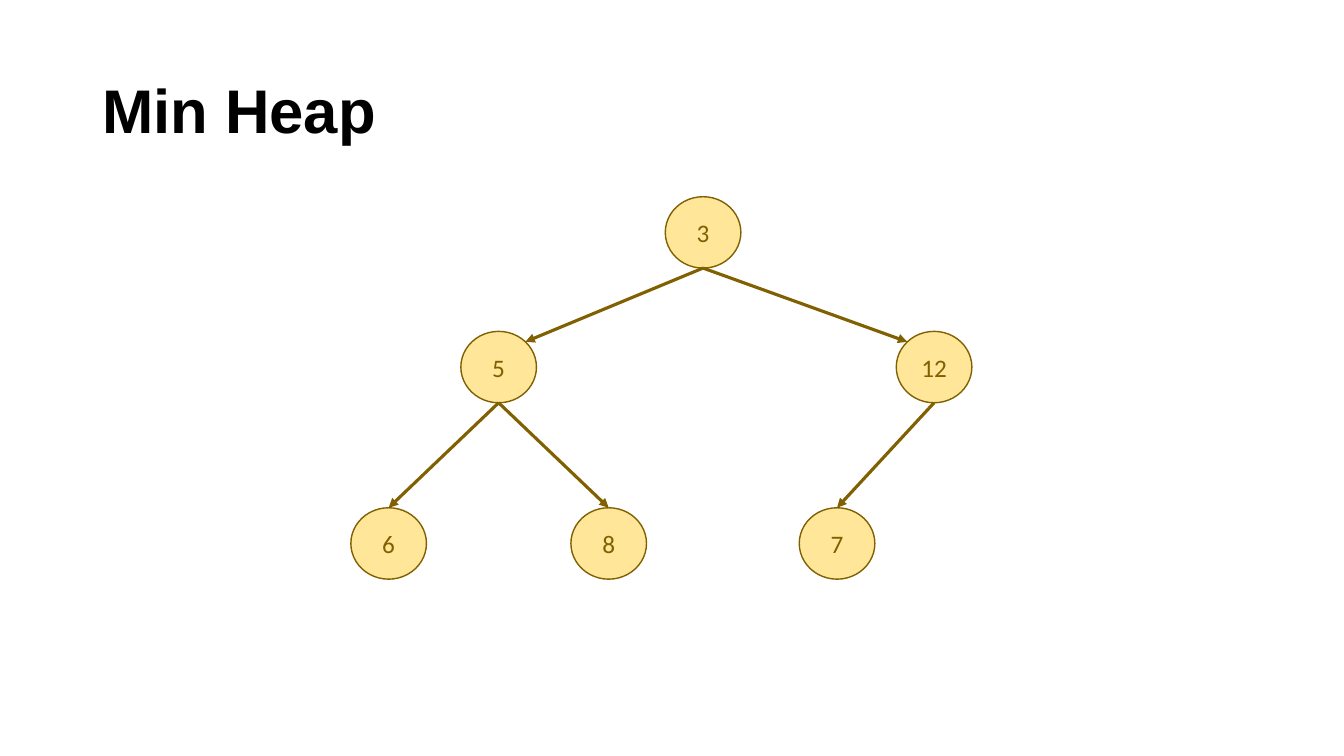
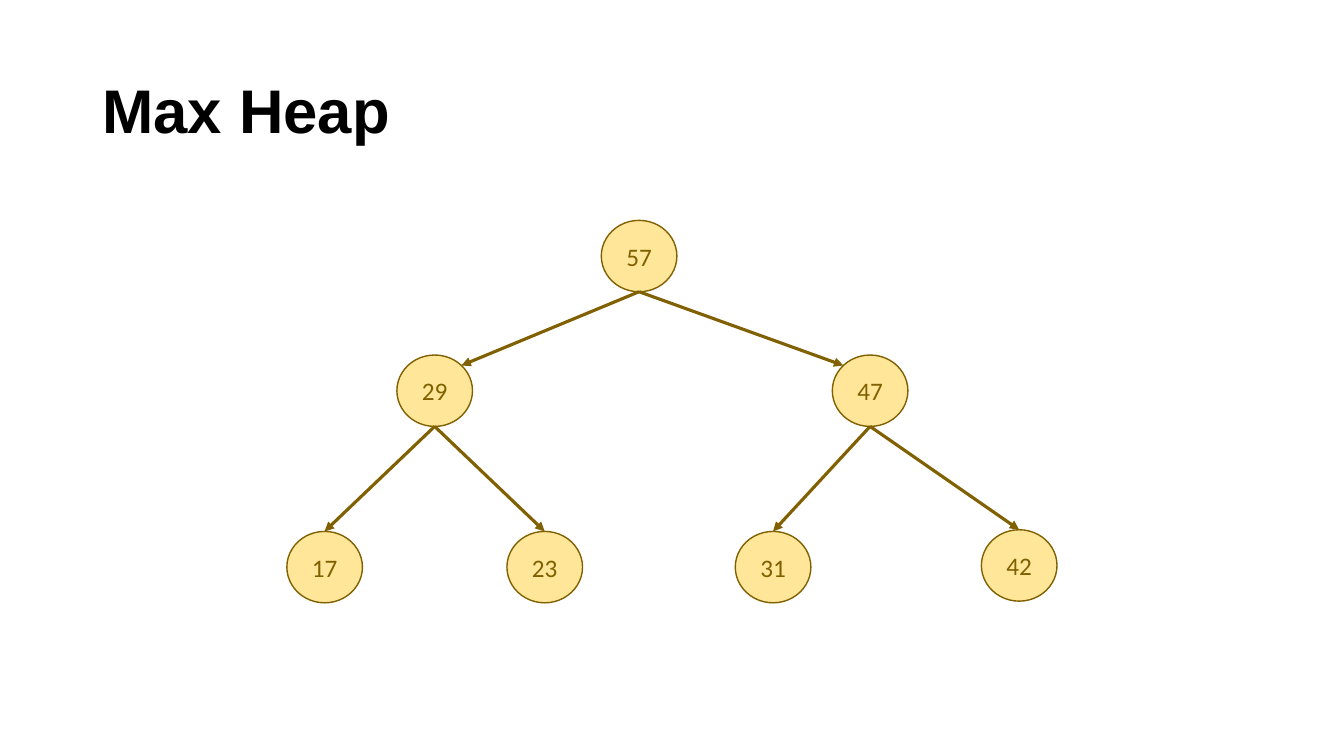
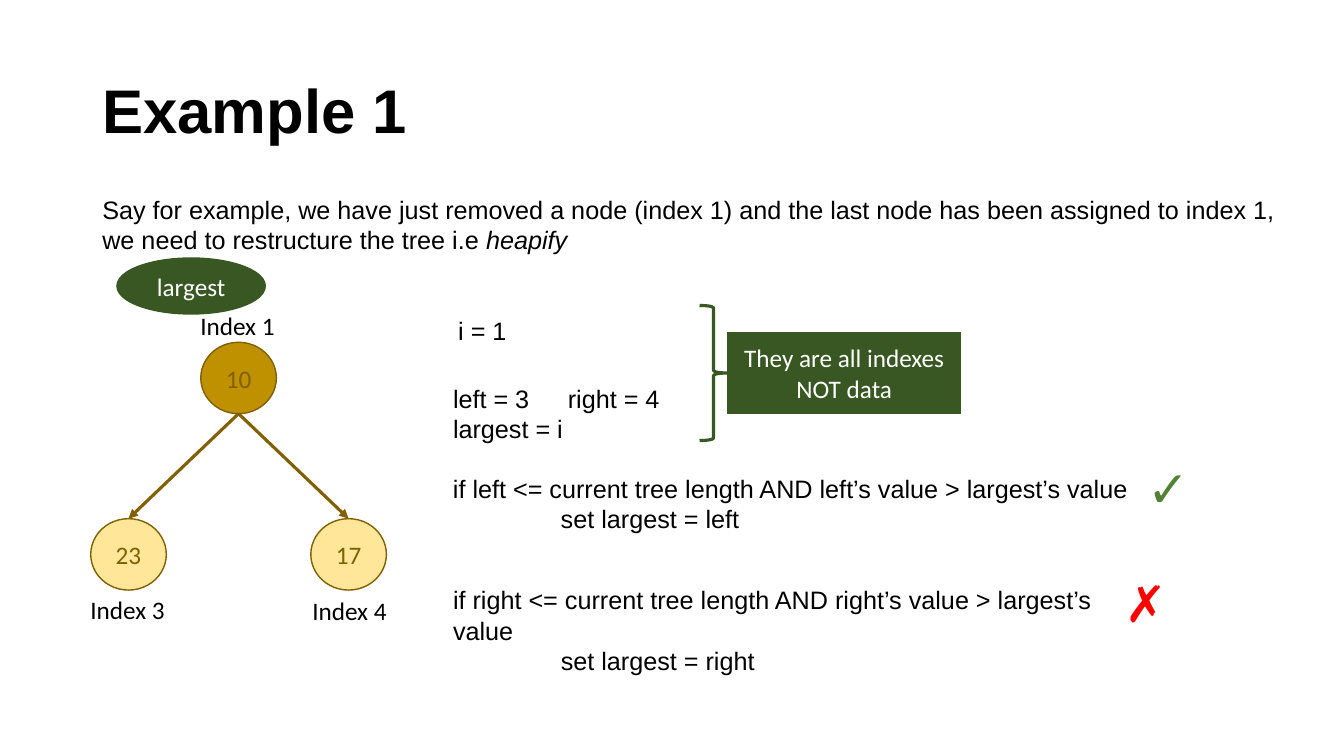
from dataclasses import dataclass
from math import sqrt

from lxml.etree import SubElement
from pptx import Presentation
from pptx.dml.color import RGBColor
from pptx.enum.shapes import MSO_CONNECTOR, MSO_SHAPE
from pptx.enum.text import MSO_ANCHOR, PP_ALIGN
from pptx.oxml.ns import qn
from pptx.shapes.autoshape import Shape
from pptx.slide import Slide
from pptx.text.text import _Paragraph as Paragraph
from pptx.util import Pt

# Shared style
BLACK = RGBColor(0x00, 0x00, 0x00)
WHITE = RGBColor(0xFF, 0xFF, 0xFF)
CREAM = RGBColor(0xFF, 0xE6, 0x99)
GOLD = RGBColor(0xBF, 0x90, 0x00)
BROWN = RGBColor(0x80, 0x60, 0x00)
DARK_GREEN = RGBColor(0x38, 0x57, 0x23)
GREEN = RGBColor(0x54, 0x82, 0x35)
RED = RGBColor(0xFF, 0x00, 0x00)
HEADING_FONT = "Arial"
DIAGRAM_FONT = "Calibri"

NODE_WIDTH, NODE_HEIGHT = 54, 51
# Share of a radius from the centre to the ellipse's diagonal points
DIAGONAL = 1 / sqrt(2)


@dataclass(frozen=True)
class Box:
    left: float
    top: float
    width: float
    height: float


@dataclass(frozen=True)
class Node:
    """A tree node, centred at an offset from the root."""
    value: str
    dx: float = 0
    dy: float = 0
    parent: int | None = None
    entry: int = 0  # -1 upper left, 0 top, 1 upper right
    fill: RGBColor = CREAM


@dataclass(frozen=True)
class Note:
    lines: tuple[str, ...]
    box: Box
    font: str = HEADING_FONT
    size: float = 18
    color: RGBColor = BLACK
    bold: bool = False
    spacing: float = 1.0
    anchor: MSO_ANCHOR = MSO_ANCHOR.TOP


def style_paragraph(paragraph: Paragraph, font: str, size: float,
                    color: RGBColor, bold: bool = False) -> None:
    for run in paragraph.runs:
        run.font.name = font
        run.font.size = Pt(size)
        run.font.bold = bold
        run.font.color.rgb = color


def add_note(slide: Slide, note: Note) -> list[Paragraph]:
    box = note.box
    frame = slide.shapes.add_textbox(
        Pt(box.left), Pt(box.top), Pt(box.width), Pt(box.height)).text_frame
    frame.word_wrap = True
    frame.vertical_anchor = note.anchor
    frame.text = "\n".join(note.lines)
    for paragraph in frame.paragraphs:
        paragraph.line_spacing = note.spacing
        style_paragraph(paragraph, note.font, note.size, note.color, note.bold)
    return list(frame.paragraphs)


def add_titled_slide(title: str) -> Slide:
    slide = deck.slides.add_slide(deck.slide_layouts[6])
    add_note(slide, Note((title,), Box(66, 28.75, 828, 104.4), size=44,
                         bold=True, spacing=0.9, anchor=MSO_ANCHOR.MIDDLE))
    return slide


def add_figure(slide: Slide, preset: MSO_SHAPE, box: Box, fill: RGBColor | None,
               outline: RGBColor, line_width: float = 1, text: str = "",
               text_color: RGBColor = WHITE) -> Shape:
    figure = slide.shapes.add_shape(
        preset, Pt(box.left), Pt(box.top), Pt(box.width), Pt(box.height))
    figure.shadow.inherit = False
    if fill is None:
        figure.fill.background()
    else:
        figure.fill.solid()
        figure.fill.fore_color.rgb = fill
    figure.line.color.rgb = outline
    figure.line.width = Pt(line_width)
    if text:
        frame = figure.text_frame
        frame.word_wrap = True
        frame.vertical_anchor = MSO_ANCHOR.MIDDLE
        frame.text = text
        frame.paragraphs[0].alignment = PP_ALIGN.CENTER
        style_paragraph(frame.paragraphs[0], DIAGRAM_FONT, 18, text_color)
    return figure


def add_arrow(slide: Slide, x1: float, y1: float, x2: float, y2: float) -> None:
    arrow = slide.shapes.add_connector(
        MSO_CONNECTOR.STRAIGHT, Pt(x1), Pt(y1), Pt(x2), Pt(y2))
    arrow.line.color.rgb = BROWN
    arrow.line.width = Pt(2.25)
    SubElement(arrow.line._get_or_add_ln(), qn("a:tailEnd"), type="triangle")
    SubElement(arrow._element.spPr, qn("a:effectLst"))


def add_tree(slide: Slide, root_x: float, root_y: float, nodes: list[Node]) -> None:
    """Draw the nodes around the root's centre, then an arrow to each child."""
    for node in nodes:
        box = Box(root_x + node.dx - NODE_WIDTH / 2,
                  root_y + node.dy - NODE_HEIGHT / 2, NODE_WIDTH, NODE_HEIGHT)
        add_figure(slide, MSO_SHAPE.OVAL, box, node.fill, BROWN,
                   text=node.value, text_color=BROWN)
    for node in nodes:
        if node.parent is None:
            continue
        parent = nodes[node.parent]
        rise = NODE_HEIGHT / 2 * (DIAGONAL if node.entry else 1)
        add_arrow(slide, root_x + parent.dx, root_y + parent.dy + NODE_HEIGHT / 2,
                  root_x + node.dx + node.entry * NODE_WIDTH / 2 * DIAGONAL,
                  root_y + node.dy - rise)


def heap_nodes(root: str, left: str, right: str, *leaves: str) -> list[Node]:
    leaf_places = [(-224.6, 222.2, 1), (-67.4, 222.2, 1),
                   (95.7, 222.2, 2), (271.5, 221, 2)]
    return [Node(root), Node(left, -146, 96.2, 0, 1), Node(right, 165, 96.2, 0, -1),
            *(Node(leaf, *place) for leaf, place in zip(leaves, leaf_places))]


deck = Presentation()
deck.slide_width, deck.slide_height = Pt(960), Pt(540)

# Min and max heaps
min_heap = add_titled_slide("Min Heap")
add_tree(min_heap, 502.2, 166, heap_nodes("3", "5", "12", "6", "8", "7"))

max_heap = add_titled_slide("Max Heap")
add_tree(max_heap, 456.5, 182.9,
         heap_nodes("57", "29", "47", "17", "23", "31", "42"))

# Example: tree with its indexes
example = add_titled_slide("Example 1")
add_tree(example, 170.4, 270, [
    Node("10", fill=GOLD),
    Node("23", -78.6, 126, 0),
    Node("17", 78.6, 126, 0),
])
for index, left, top in [(1, 136, 218.2), (3, 57.5, 421), (4, 216, 422)]:
    add_note(example, Note((f"Index {index}",), Box(left, top, 70, 29),
                           font=DIAGRAM_FONT))

# Example: introduction with an italic term
introduction = add_note(example, Note((
    "Say for example, we have just removed a node (index 1) and the last node "
    "has been assigned to index 1,",
    "we need to restructure the tree i.e "), Box(66, 135.4, 864.7, 51)))
term = introduction[1].add_run()
term.text = "heapify"
style_paragraph(introduction[1], HEADING_FONT, 18, BLACK)
term.font.italic = True

# Example: starting indexes
add_note(example, Note(("i = 1",), Box(320.2, 221.8, 54, 29)))
starting_indexes = add_note(example, Note(
    ("left = 3\tright = 4", "largest = i"), Box(316.5, 270, 170, 51)))
tab_stops = SubElement(starting_indexes[0]._p.get_or_add_pPr(), qn("a:tabLst"))
SubElement(tab_stops, qn("a:tab"), pos=str(Pt(82)), algn="l")

# Example: the two comparisons and their outcomes
for side, box in [("left", Box(316.5, 334.6, 501, 51)),
                  ("right", Box(316.5, 414, 480, 73))]:
    comparison = add_note(example, Note((
        f"if {side} <= current tree length AND {side}’s value > largest’s value",
        f"set largest = {side}"), box))
    comparison[1]._p.get_or_add_pPr().set("marL", str(Pt(77)))
for mark, left, top, color in [("✓", 812.2, 322.6, GREEN), ("✗", 796.3, 405.4, RED)]:
    add_note(example, Note((mark,), Box(left, top, 46, 51), font=DIAGRAM_FONT,
                           size=36, color=color))

# Example: pointer to the largest node and remark on the indexes
add_figure(example, MSO_SHAPE.OVAL, Box(83.5, 184.3, 106, 40), DARK_GREEN,
           DARK_GREEN, text="largest")
add_figure(example, MSO_SHAPE.RIGHT_BRACE, Box(499.7, 218.2, 20, 96.5), None,
           DARK_GREEN, 2.25)
add_figure(example, MSO_SHAPE.RECTANGLE, Box(519.8, 237.6, 166.5, 57.6), DARK_GREEN,
           DARK_GREEN, text="They are all indexes NOT data")

deck.save("out.pptx")
